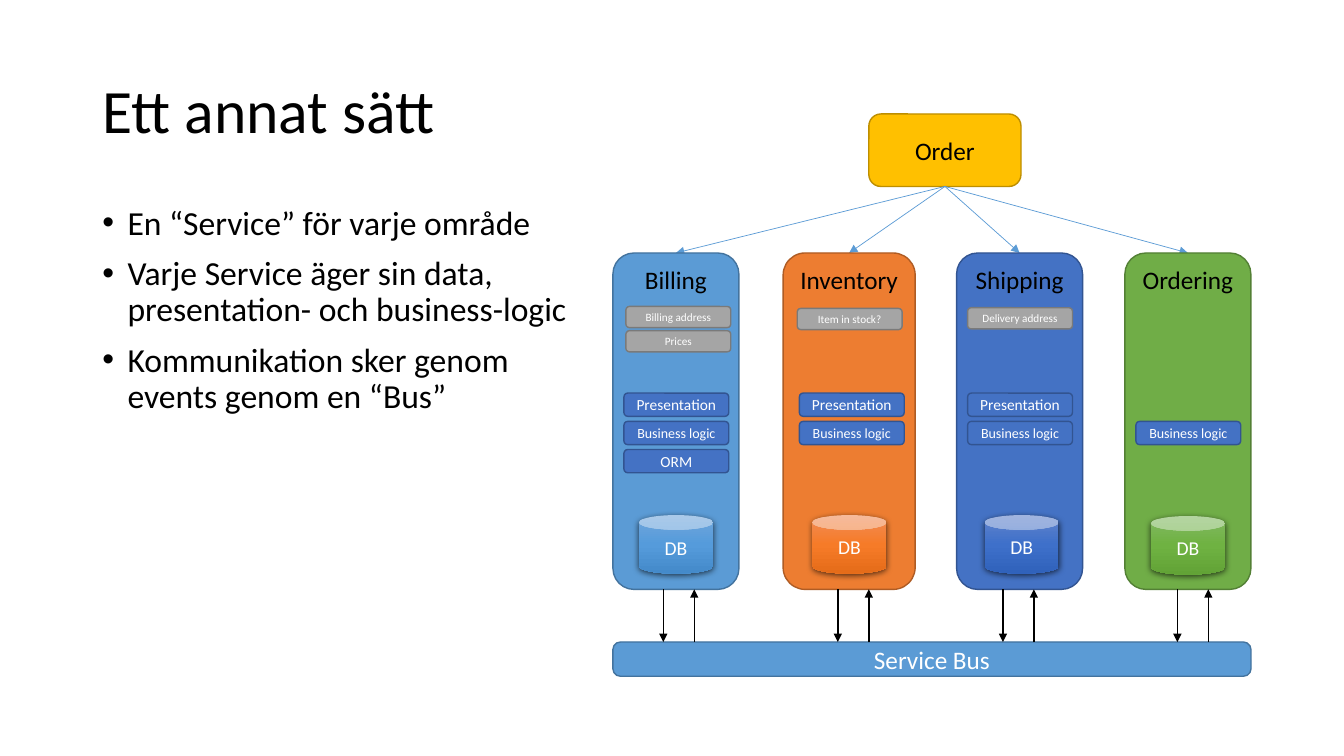
import pptx
import pptx.util
import pptx.dml.color
import pptx.enum.shapes
import pptx.enum.text
import pptx.oxml
import pptx.oxml.ns

Pt = pptx.util.Pt
SHAPE = pptx.enum.shapes.MSO_SHAPE
ALIGN = pptx.enum.text.PP_ALIGN
ANCHOR = pptx.enum.text.MSO_ANCHOR
NS = pptx.oxml.ns.nsdecls("a")

HUES = {
    "black": "000000", "white": "FFFFFF",
    "gold": "FFC000", "gold_edge": "BD8E00",
    "blue": "5B9BD5", "blue_edge": "43739E",
    "orange": "ED7D31", "orange_edge": "AF5C24",
    "navy": "4472C4", "navy_edge": "325491",
    "green": "70AD47", "green_edge": "538035",
    "gray": "A5A5A5", "gray_edge": "7A7A7A",
}
SHADES = {
    "blue": ("71A6DB", "559BDB", "448ACA"),
    "orange": ("F18C57", "F67B28", "E56C19"),
    "navy": ("6183CB", "3E70CA", "3062BB"),
    "green": ("81B861", "6FB242", "62A336"),
}

TOP, TALL = 180.7, 240.3          # service columns
BUS_TOP = 458.6
LAYERS = {"Presentation": (280.8, 11), "Business logic": (301, 10),
          "ORM": (321.1, 11)}     # top and text size

# box: left, width; tags: left, top, names; rows: left, names;
# store: left, top; down: x of the arrow to the bus
SERVICES = [
    dict(name="Billing", hue="blue", box=(437.8, 90),
         tags=(447.1, 218.9, ["Billing address", "Prices"]),
         rows=(445.7, ["Presentation", "Business logic", "ORM"]),
         store=(456.5, 367.9), down=473.8, anchor=ANCHOR.MIDDLE),
    dict(name="Inventory", hue="orange", box=(559.4, 94.3),
         tags=(569.5, 220.3, ["Item in stock?"]),
         rows=(571, ["Presentation", "Business logic"]),
         store=(580.3, 367.9), down=598.5),
    dict(name="Shipping", hue="navy", box=(683.3, 90),
         tags=(691.2, 219.8, ["Delivery address"]),
         rows=(691.2, ["Presentation", "Business logic"]),
         store=(703.4, 367.9), down=716.4),
    dict(name="Ordering", hue="green", box=(803.5, 90),
         rows=(811.4, ["Business logic"]),
         store=(822.2, 368.6), down=841),
]


def color(name):
    return pptx.dml.color.RGBColor.from_string(HUES[name])


def write(frame, text, size=18, ink="white", align=ALIGN.CENTER,
          anchor=ANCHOR.MIDDLE, side=0, bullet=False, spacing=None):
    """Fill a text frame, one paragraph for each line of text."""
    frame.word_wrap = True
    frame.vertical_anchor = anchor
    frame.margin_left = frame.margin_right = Pt(side)
    for i, line in enumerate(text.split("\n")):
        para = frame.add_paragraph() if i else frame.paragraphs[0]
        para.alignment = align
        if spacing:
            para.line_spacing = spacing
        run = para.add_run()
        run.text = line
        run.font.name = "Calibri"
        run.font.size = Pt(size)
        run.font.color.rgb = color(ink)
        if bullet:
            para.space_before = Pt(10)
            props = para._p.get_or_add_pPr()
            props.set("marL", str(int(Pt(18))))
            props.set("indent", str(-int(Pt(18))))
            for tag in ('buFont {} typeface="Arial"', 'buChar {} char="•"'):
                props.append(pptx.oxml.parse_xml(f"<a:{tag.format(NS)}/>"))


def text_box(slide, text, x, y, w, h, **form):
    box = slide.shapes.add_textbox(Pt(x), Pt(y), Pt(w), Pt(h))
    write(box.text_frame, text, side=7.2, spacing=0.9, align=ALIGN.LEFT,
          ink="black", **form)


def round_box(shapes, text, hue, x, y, w, h, curve=None, **form):
    box = shapes.add_shape(SHAPE.ROUNDED_RECTANGLE, Pt(x), Pt(y), Pt(w), Pt(h))
    box.shadow.inherit = False
    if curve:
        box.adjustments[0] = curve
    box.fill.solid()
    box.fill.fore_color.rgb = color(hue)
    box.line.color.rgb = color(hue + "_edge")
    box.line.width = Pt(1)
    write(box.text_frame, text, **form)


def database(shapes, hue, x, y, anchor):
    can = shapes.add_shape(SHAPE.CAN, Pt(x), Pt(y), Pt(52.9), Pt(41.8))
    can.shadow.inherit = False
    can.line.fill.background()
    can.fill.gradient()
    can.fill.gradient_angle = 270
    props = can._element.spPr
    # Three colour stops from top to bottom
    stops = props.find(".//" + pptx.oxml.ns.qn("a:gsLst"))
    for stop in list(stops):
        stops.remove(stop)
    for i, shade in enumerate(SHADES[hue]):
        stops.append(pptx.oxml.parse_xml(
            f'<a:gs {NS} pos="{i * 50000}"><a:srgbClr val="{shade}"/></a:gs>'))
    # Soft shadow below
    props.find(pptx.oxml.ns.qn("a:effectLst")).append(pptx.oxml.parse_xml(
        f'<a:outerShdw {NS} blurRad="{int(Pt(4.5))}" dist="{int(Pt(1.5))}"'
        ' dir="5400000" algn="ctr" rotWithShape="0"><a:srgbClr val="000000">'
        '<a:alpha val="63000"/></a:srgbClr></a:outerShdw>'))
    write(can.text_frame, "DB", size=14, anchor=anchor)


def arrow(slide, x1, y1, x2, y2, hue="black", width=1):
    line = slide.shapes.add_connector(
        pptx.enum.shapes.MSO_CONNECTOR.STRAIGHT, Pt(x1), Pt(y1), Pt(x2), Pt(y2))
    line.line.color.rgb = color(hue)
    line.line.width = Pt(width)
    props = line._element.spPr
    props.find(pptx.oxml.ns.qn("a:ln")).append(
        pptx.oxml.parse_xml(f'<a:tailEnd {NS} type="triangle"/>'))
    props.append(pptx.oxml.parse_xml(f"<a:effectLst {NS}/>"))


def service(slide, name, hue, box, rows, store, down,
            tags=(0, 0, []), anchor=ANCHOR.TOP):
    shapes = slide.shapes.add_group_shape().shapes
    left, width = box
    round_box(shapes, name, hue, left, TOP, width, TALL,
              ink="black", anchor=ANCHOR.TOP)
    x, y, names = tags
    for i, tag in enumerate(names):
        round_box(shapes, tag, "gray", x, y + i * 17.3, 74.9, 15.1, size=8)
    x, names = rows
    for row in names:
        y, size = LAYERS[row]
        round_box(shapes, row, "navy", x, y, 74.9, 16.6, size=size)
    database(shapes, hue, *store, anchor)
    # Events to and from the bus
    arrow(slide, down, TOP + TALL, down, BUS_TOP)
    arrow(slide, down + 22.1, BUS_TOP, down + 22.1, TOP + TALL)


def main():
    deck = pptx.Presentation()
    deck.slide_width, deck.slide_height = Pt(960), Pt(540)
    slide = deck.slides.add_slide(deck.slide_layouts[6])

    # Title and bullets
    text_box(slide, "Ett annat sätt", 66, 28.8, 828, 104.4, size=44)
    text_box(slide, "En “Service” för varje område\n"
             "Varje Service äger sin data, presentation- och business-logic\n"
             "Kommunikation sker genom events genom en “Bus”",
             66, 143.8, 353.5, 342.7, size=24, anchor=ANCHOR.TOP, bullet=True)

    # Order, fanning out to the services
    round_box(slide.shapes, "Order", "gold", 620.6, 81.4, 108.7, 51.8,
              ink="black")
    for item in SERVICES:
        left, width = item["box"]
        arrow(slide, 675, 133.2, left + width / 2, TOP, "blue", 0.5)

    # Bus and services
    round_box(slide.shapes, "Service Bus", "blue", 437.8, BUS_TOP, 455.8, 24.5,
              curve=0.22)
    for item in SERVICES:
        service(slide, **item)

    deck.save("out.pptx")


main()
